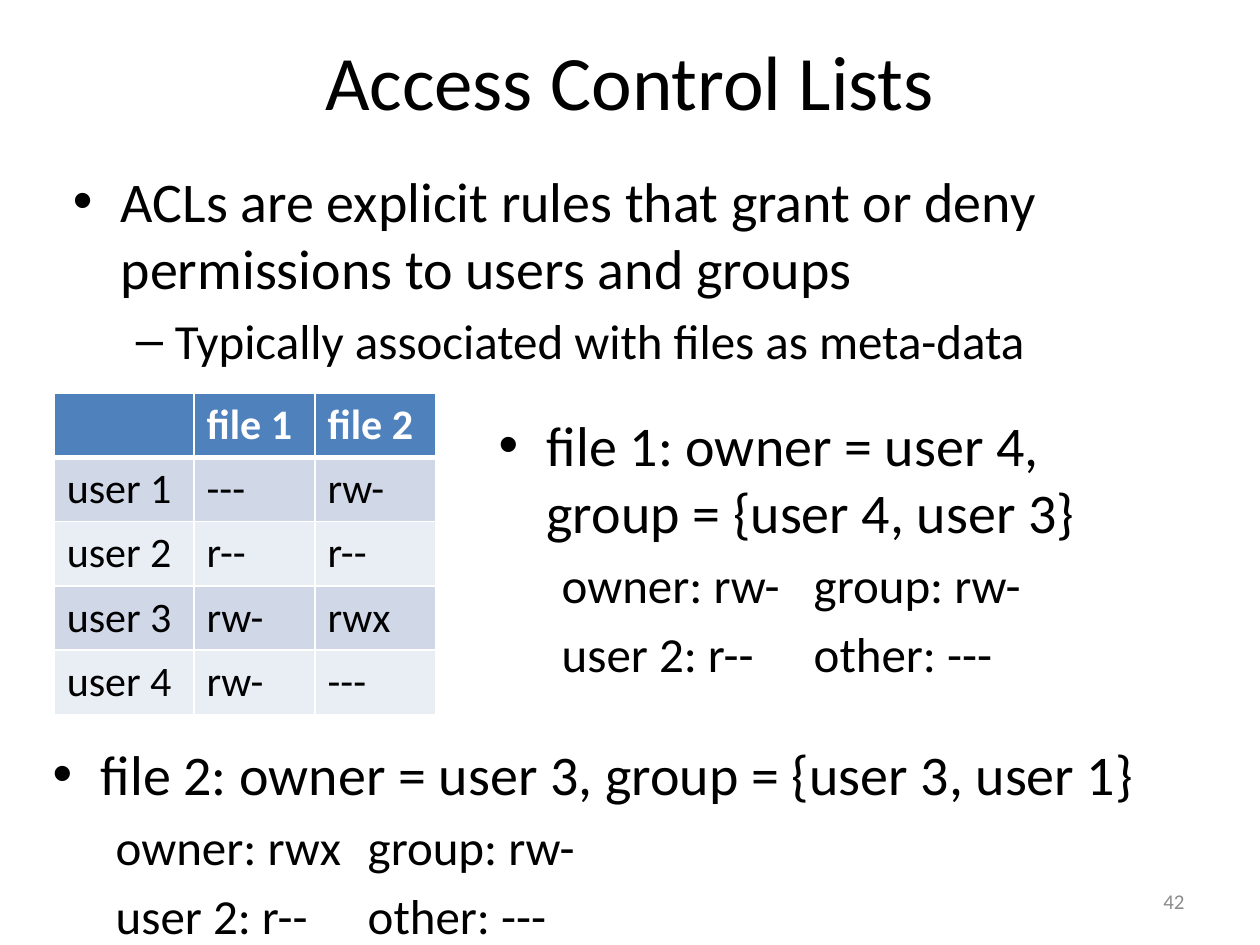
from lxml import etree
from pptx import Presentation
from pptx import util as u
from pptx.dml.color import RGBColor
from pptx.enum import text
from pptx.oxml import ns

# Content
TITLE = "Access Control Lists"
PAGE_NUMBER = "42"
FONT = "Calibri"
BLACK, WHITE, GREY = "000000", "FFFFFF", "8C8C8C"
HEADER, BANDS = "4F81BD", ("D0D8E8", "E9EDF4")

PERMISSIONS = [
    ("", "file 1", "file 2"),
    ("user 1", "---", "rw-"),
    ("user 2", "r--", "r--"),
    ("user 3", "rw-", "rwx"),
    ("user 4", "rw-", "---"),
]
COLUMN_WIDTHS = (1.11, 0.96, 0.96)
ROW_HEIGHT = 0.51

# Paragraph styles: size, level, left margin, first-line indent, bullet
STYLES = {
    "point": (32, 0, 0.38, -0.38, "•"),
    "detail": (28, 1, 0.81, -0.31, "–"),
    "rule": (28, 1, 0.5, 0, None),
}
# Text blocks: left, top, width, height, then (style, wording)
BLOCKS = [
    ((0.48, 1.27, 9, 1.94), [
        ("point", "ACLs are explicit rules that grant or deny permissions to users and groups"),
        ("detail", "Typically associated with files as meta-data")]),
    ((3.86, 3.21, 5.49, 2.39), [
        ("point", "file 1: owner = user 4, group = {user 4, user 3}"),
        ("rule", "owner: rw-\tgroup: rw-"),
        ("rule", "user 2: r--\tother: ---")]),
    ((0.32, 5.82, 9.31, 1.68), [
        ("point", "file 2: owner = user 3, group = {user 3, user 1}"),
        ("rule", "owner: rwx\tgroup: rw-"),
        ("rule", "user 2: r--\tother: ---")]),
]


def colour(value):
    return RGBColor.from_string(value)


def write(para, wording, size, shade=BLACK, bold=False):
    para.text = wording
    for font in [para.font] + [span.font for span in para.runs]:
        font.name, font.size, font.bold = FONT, u.Pt(size), bold
        font.color.rgb = colour(shade)


def add_box(page, place):
    box = page.shapes.add_textbox(*map(u.Inches, place))
    box.text_frame.word_wrap = True
    return box.text_frame


def style_paragraph(para, level, margin, indent, bullet):
    para.level = level
    props = para._p.get_or_add_pPr()
    props.set("marL", str(u.Inches(margin)))
    props.set("indent", str(u.Inches(indent)))
    props.set("defTabSz", str(u.Inches(1)))
    if bullet:
        etree.SubElement(props, ns.qn("a:buFont"), typeface="Arial")
        etree.SubElement(props, ns.qn("a:buChar"), char=bullet)


def add_block(page, place, lines):
    frame = add_box(page, place)
    for i, (style, wording) in enumerate(lines):
        size, *layout = STYLES[style]
        para = frame.add_paragraph() if i else frame.paragraphs[0]
        write(para, wording, size)
        para.space_before = u.Pt(size * 0.2 if i else 0)
        style_paragraph(para, *layout)


def set_borders(cell, bottom):
    props = cell._tc.get_or_add_tcPr()
    widths = {"lnL": 1, "lnR": 1, "lnT": 1, "lnB": bottom}
    for i, (side, width) in enumerate(widths.items()):
        line = etree.Element(ns.qn("a:" + side), w=str(u.Pt(width)))
        fill = etree.SubElement(line, ns.qn("a:solidFill"))
        etree.SubElement(fill, ns.qn("a:srgbClr"), val=WHITE)
        props.insert(i, line)


def add_permissions(page):
    rows, columns = len(PERMISSIONS), len(COLUMN_WIDTHS)
    place = (0.43, 3.12, sum(COLUMN_WIDTHS), rows * ROW_HEIGHT)
    table = page.shapes.add_table(rows, columns, *map(u.Inches, place)).table
    for column, width in zip(table.columns, COLUMN_WIDTHS):
        column.width = u.Inches(width)
    for r, values in enumerate(PERMISSIONS):
        header = r == 0
        for c, value in enumerate(values):
            cell = table.cell(r, c)
            write(cell.text_frame.paragraphs[0], value, 24,
                  WHITE if header else BLACK, header)
            cell.fill.solid()
            cell.fill.fore_color.rgb = colour(HEADER if header else BANDS[(r - 1) % 2])
            # The rule under the header is heavier, on both sides of the edge
            set_borders(cell, 3 if header else 1)


def main():
    deck = Presentation()
    deck.slide_width, deck.slide_height = u.Inches(10), u.Inches(7.5)
    page = deck.slides.add_slide(deck.slide_layouts[5])

    # Title
    title = page.shapes.title
    title.left, title.top, title.width, title.height = map(u.Inches, (0.5, 0.01, 9, 1.25))
    title.text_frame.vertical_anchor = text.MSO_ANCHOR.MIDDLE
    write(title.text_frame.paragraphs[0], TITLE, 44)
    title.text_frame.paragraphs[0].alignment = text.PP_ALIGN.CENTER

    # Rules and permission table
    for place, lines in BLOCKS:
        add_block(page, place, lines)
    add_permissions(page)

    # Page number
    frame = add_box(page, (7.17, 6.95, 2.33, 0.4))
    frame.vertical_anchor = text.MSO_ANCHOR.MIDDLE
    write(frame.paragraphs[0], PAGE_NUMBER, 12, GREY)
    frame.paragraphs[0].alignment = text.PP_ALIGN.RIGHT

    deck.save("out.pptx")


if __name__ == "__main__":
    main()
